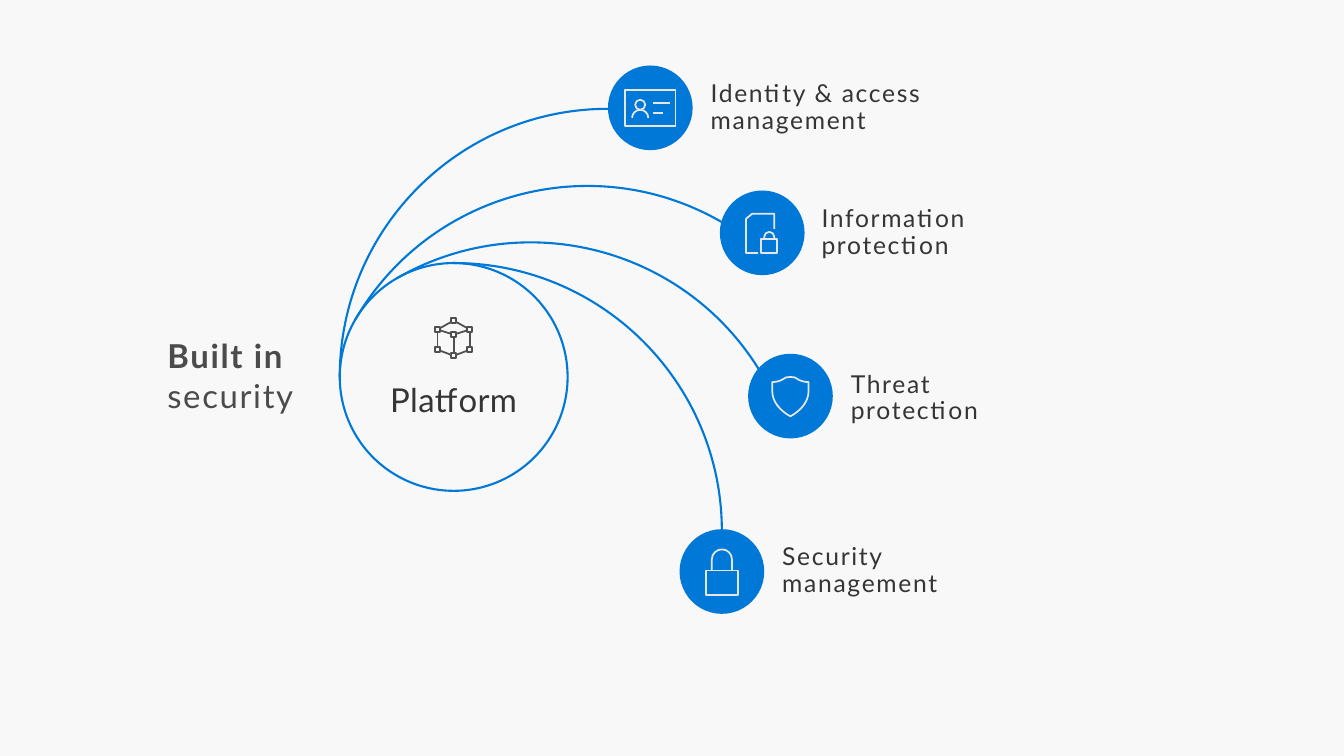
from dataclasses import dataclass
from math import cos, radians, sin, tan

from lxml import etree
from pptx import Presentation
from pptx.dml.color import RGBColor
from pptx.enum.shapes import MSO_SHAPE
from pptx.enum.text import MSO_ANCHOR, MSO_AUTO_SIZE, PP_ALIGN
from pptx.oxml.ns import qn
from pptx.util import Emu, Inches, Pt

OVAL = MSO_SHAPE.OVAL
LEFT, CENTER = PP_ALIGN.LEFT, PP_ALIGN.CENTER
TOP, MIDDLE = MSO_ANCHOR.TOP, MSO_ANCHOR.MIDDLE


@dataclass(frozen=True)
class Theme:
    font: str = "Lato"
    background: str = "F8F8F8"
    blue: str = "0078D7"
    icon: str = "E6E6E6"
    cube: str = "505050"
    text: str = "353535"
    heading: str = "4B4B4B"
    large: float = 23.5
    label: float = 17.6
    tracking: float = 1.2
    curve_width: float = 1.5
    icon_width: float = 1.25


THEME = Theme()

# Content: lines of each label, icon name, disc centre, label box
HEADING = ("Built in", "security")
HUB_LABEL = "Platform"
FEATURES = [
    (["Identity & access management"], "card", (6.45, 1.07), (6.95, 0.76, 2.93, 0.63)),
    (["Information protection"], "document", (7.56, 2.31), (8.05, 2, 2.34, 0.63)),
    (["Threat", "protection"], "shield", (7.84, 3.93), (8.34, 3.64, 2.34, 0.63)),
    (["Security management"], "padlock", (7.16, 5.67), (7.66, 5.35, 2.21, 0.63)),
]

HUB_CENTER, HUB_RADIUS = (4.5, 3.74), 1.13
CURVE_RADIUS = 2.66
CURVE_STEP = 30
DISC_RADIUS = 0.42

# Cube corners, then the pairs of corners joined by an edge
CUBE_CENTER = (4.5, 3.36)
CUBE_NODES = [(0, -0.18), (0.16, -0.09), (0.16, 0.11), (0, 0.17),
              (-0.16, 0.11), (-0.16, -0.09), (0, -0.04)]
CUBE_EDGES = [(0, 1), (1, 2), (2, 3), (3, 4), (4, 5), (5, 0),
              (6, 1), (6, 3), (6, 5)]
NODE_HALF = 0.05 / 2


# An outline is a list of steps: (point,) is a line, (control, control, point) a curve
def polyline(*points):
    return [(point,) for point in points]


def box(left, top, right, bottom):
    return polyline((left, top), (right, top), (right, bottom), (left, bottom), (left, top))


def point_at(center, radius, angle):
    return center[0] + radius * cos(radians(angle)), center[1] + radius * sin(radians(angle))


def arc(center, radius, start, quarters):
    """Return clockwise quarter circles, one cubic curve each."""
    handle = 4 / 3 * tan(radians(90 / 4)) * radius
    steps = polyline(point_at(center, radius, start))
    for angle in range(start, start + 90 * quarters, 90):
        begin, end = (point_at(center, radius, a) for a in (angle, angle + 90))
        steps.append((point_at(begin, handle, angle + 90), point_at(end, handle, angle), end))
    return steps


def padlock(x, top, bottom, half_width, shackle, rise):
    bow = arc((x, top - rise), shackle, 180, 2)
    return [box(x - half_width, top, x + half_width, bottom),
            polyline((x - shackle, top)) + bow + polyline((x + shackle, top))]


def cube():
    outlines = [box(x - NODE_HALF, y - NODE_HALF, x + NODE_HALF, y + NODE_HALF)
                for x, y in CUBE_NODES]
    for first, second in CUBE_EDGES:
        (x1, y1), (x2, y2) = CUBE_NODES[first], CUBE_NODES[second]
        trim = NODE_HALF / max(abs(x2 - x1), abs(y2 - y1))
        dx, dy = (x2 - x1) * trim, (y2 - y1) * trim
        outlines.append(polyline((x1 + dx, y1 + dy), (x2 - dx, y2 - dy)))
    return outlines


ICONS = {
    "card": [box(-0.25, -0.18, 0.25, 0.18),
             polyline((0.03, -0.05), (0.2, -0.05)),
             polyline((0.03, 0.05), (0.13, 0.05)),
             arc((-0.1, -0.03), 0.05, 0, 4),
             arc((-0.1, 0.1), 0.08, 180, 2)],
    "document": [polyline((-0.04, 0.2), (-0.16, 0.2), (-0.16, -0.14),
                          (-0.1, -0.19), (0.12, -0.19), (0.12, -0.04)),
                 *padlock(0.07, 0.06, 0.2, 0.08, 0.05, 0.02)],
    "shield": [[((0.18, -0.05),),
                ((0.18, 0.05), (0.11, 0.14), (0, 0.2)),
                ((-0.11, 0.14), (-0.18, 0.05), (-0.18, -0.05)),
                ((-0.18, -0.14),),
                ((-0.14, -0.14), (-0.1, -0.15), (-0.07, -0.17)),
                ((-0.05, -0.19), (-0.03, -0.19), (0, -0.19)),
                ((0.03, -0.19), (0.05, -0.19), (0.07, -0.17)),
                ((0.1, -0.15), (0.14, -0.14), (0.18, -0.14)),
                ((0.18, -0.05),)]],
    "padlock": padlock(0, -0.01, 0.23, 0.16, 0.1, 0.11),
}


def draw_outlines(shapes, outlines, color, width, origin=(0, 0)):
    """Draw outlines, given in inches from origin, as one unfilled freeform."""
    contours = [[(Inches(origin[0] + x), Inches(origin[1] + y))
                 for step in outline for x, y in step] for outline in outlines]
    builder = shapes.build_freeform(*contours[0][0], scale=1.0)
    for index, contour in enumerate(contours):
        if index:
            builder.move_to(*contour[0])
        builder.add_line_segments(contour[1:], close=False)
    shape = builder.convert_to_shape(Emu(0), Emu(0))

    # Join each run of three segments that stands for a curve into one cubic
    segments = iter(list(next(shape._element.iter(qn("a:path")))))
    for step in (step for outline in outlines for step in outline):
        parts = [next(segments) for _ in step]
        if len(parts) == 3:
            curve = etree.Element(qn("a:cubicBezTo"))
            parts[0].addprevious(curve)
            for part in parts:
                curve.append(part[0])
                part.getparent().remove(part)

    shape.shadow.inherit = False
    shape.fill.background()
    shape.line.color.rgb = RGBColor.from_string(color)
    shape.line.width = Pt(width)


def draw_circle(shapes, center, radius, fill=None, line=None):
    shape = shapes.add_shape(OVAL, Inches(center[0] - radius), Inches(center[1] - radius),
                             Inches(2 * radius), Inches(2 * radius))
    shape.shadow.inherit = False
    if fill:
        shape.fill.solid()
        shape.fill.fore_color.rgb = RGBColor.from_string(fill)
    else:
        shape.fill.background()
    if line:
        shape.line.color.rgb = RGBColor.from_string(line)
        shape.line.width = Pt(THEME.curve_width)
    else:
        shape.line.fill.background()


def write_text(shape, lines, at, size=THEME.label, color=THEME.text, align=LEFT,
               anchor=MIDDLE, spacing=0.9, tracking=THEME.tracking, bold_first=False):
    shape.left, shape.top, shape.width, shape.height = (Inches(value) for value in at)
    frame = shape.text_frame
    frame.word_wrap = True
    frame.auto_size = MSO_AUTO_SIZE.NONE
    frame.vertical_anchor = anchor
    paragraph = frame.paragraphs[0]
    paragraph.alignment = align
    paragraph.line_spacing = spacing
    for index, line in enumerate(lines):
        if index:
            paragraph.add_line_break()
        run = paragraph.add_run()
        run.text = line
        run.font.name = THEME.font
        run.font.size = Pt(size)
        run.font.bold = bold_first and index == 0
        run.font.color.rgb = RGBColor.from_string(color)
        run.font._element.set("spc", str(round(tracking * 100)))


def main():
    presentation = Presentation()
    presentation.slide_width, presentation.slide_height = Inches(13.33), Inches(7.5)
    slide = presentation.slides.add_slide(presentation.slide_layouts[5])
    slide.background.fill.solid()
    slide.background.fill.fore_color.rgb = RGBColor.from_string(THEME.background)
    shapes = slide.shapes

    write_text(shapes.title, HEADING, (1.56, 3.28, 1.6, 0.89), size=THEME.large,
               color=THEME.heading, anchor=TOP, spacing=1.0, bold_first=True)
    write_text(shapes.add_textbox(0, 0, 0, 0), [HUB_LABEL], (3.52, 3.76, 1.96, 0.46),
               size=THEME.large, align=CENTER, tracking=0.3)
    draw_outlines(shapes, cube(), THEME.cube, THEME.icon_width, CUBE_CENTER)
    draw_circle(shapes, HUB_CENTER, HUB_RADIUS, line=THEME.blue)

    for index, (lines, icon, center, label_box) in enumerate(FEATURES):
        # Each quarter circle touches the hub from outside, turned one step further
        turn = index * CURVE_STEP
        pivot = point_at(HUB_CENTER, CURVE_RADIUS - HUB_RADIUS, turn)
        draw_outlines(shapes, [arc(pivot, CURVE_RADIUS, 180 + turn, 1)],
                      THEME.blue, THEME.curve_width)
        write_text(shapes.add_textbox(0, 0, 0, 0), lines, label_box)
        badge = shapes.add_group_shape().shapes
        draw_circle(badge, center, DISC_RADIUS, fill=THEME.blue)
        draw_outlines(badge, ICONS[icon], THEME.icon, THEME.icon_width, center)

    presentation.save("out.pptx")


if __name__ == "__main__":
    main()
